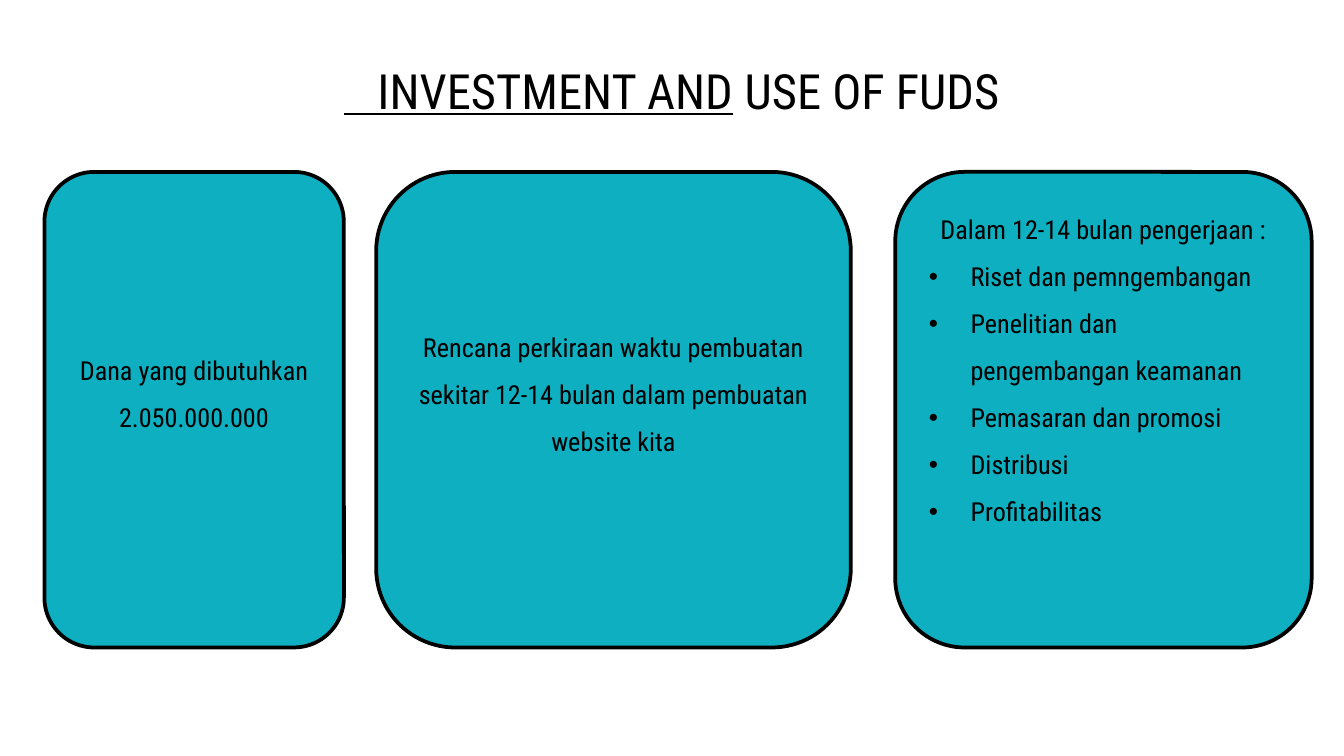
from pptx import Presentation
from pptx import util as u
from pptx.dml.color import RGBColor
from pptx.enum import shapes, text
from pptx.oxml.ns import qn
from lxml import etree

INK, TEAL = "000000", "0DAFC0"


def rgb(code):
    return RGBColor.from_string(code)


def style(run, size, line=False):
    form = {"name": "Roboto Condensed", "size": u.Pt(size),
            "bold": False, "underline": line}
    for key, val in form.items():
        setattr(run.font, key, val)
    run.font.color.rgb = rgb(INK)


deck = Presentation()
deck.slide_width, deck.slide_height = u.Cm(25.4), u.Cm(14.29)
slide = deck.slides.add_slide(deck.slide_layouts[5])

# Title, with its first words underlined
title = slide.shapes.title
place = {"left": 1.27, "top": 1.14, "width": 22.86, "height": 1.12}
for key, val in place.items():
    setattr(title, key, u.Cm(val))
frame = title.text_frame
form = {"word_wrap": True, "auto_size": text.MSO_AUTO_SIZE.NONE,
        "vertical_anchor": text.MSO_ANCHOR.MIDDLE}
for side in ("left", "top", "right", "bottom"):
    form["margin_" + side] = u.Cm(0.25)
for key, val in form.items():
    setattr(frame, key, val)
para = frame.paragraphs[0]
para.alignment = text.PP_ALIGN.CENTER
for words, line in (("   INVESTMENT AND", True), (" USE OF FUDS", False)):
    run = para.add_run()
    run.text = words
    style(run, 26, line)

# Cards: left, width, lines of space below the text, centred lines, bullets
cards = [
    (7.11, 8.97, 1, ["Rencana perkiraan waktu pembuatan sekitar 12-14 bulan "
                     "dalam pembuatan website kita"], []),
    (0.84, 5.66, 1, ["Dana yang dibutuhkan", "2.050.000.000"], []),
    (16.92, 7.87, 2, ["Dalam 12-14 bulan pengerjaan :"],
     ["Riset dan pemngembangan", "Penelitian dan pengembangan keamanan",
      "Pemasaran dan promosi", "Distribusi", "Profitabilitas"]),
]
for left, width, space, lines, items in cards:
    card = slide.shapes.add_shape(
        shapes.MSO_SHAPE.FLOWCHART_ALTERNATE_PROCESS,
        u.Cm(left), u.Cm(3.25), u.Cm(width), u.Cm(8.99))
    card.shadow.inherit = False
    card.fill.solid()
    card.fill.fore_color.rgb = rgb(TEAL)
    card.line.color.rgb = rgb(INK)
    card.line.width = u.Pt(2)

    frame = card.text_frame
    form = {"word_wrap": True, "vertical_anchor": text.MSO_ANCHOR.MIDDLE,
            "margin_bottom": u.Cm(0.13 + 0.89 * space)}
    for key, val in form.items():
        setattr(frame, key, val)

    for i, words in enumerate(lines + items):
        para = frame.add_paragraph() if i else frame.paragraphs[0]
        para.line_spacing = 1.5
        para.alignment = text.PP_ALIGN.CENTER
        run = para.add_run()
        run.text = words
        style(run, 14)
        if i >= len(lines):
            # Bullet with a hanging indent
            para.alignment = text.PP_ALIGN.LEFT
            props = para._p.get_or_add_pPr()
            props.set("marL", str(u.Cm(0.79)))
            props.set("indent", str(-u.Cm(0.79)))
            etree.SubElement(props, qn("a:buFont"), typeface="Arial")
            etree.SubElement(props, qn("a:buChar"), char="•")

deck.save("out.pptx")
